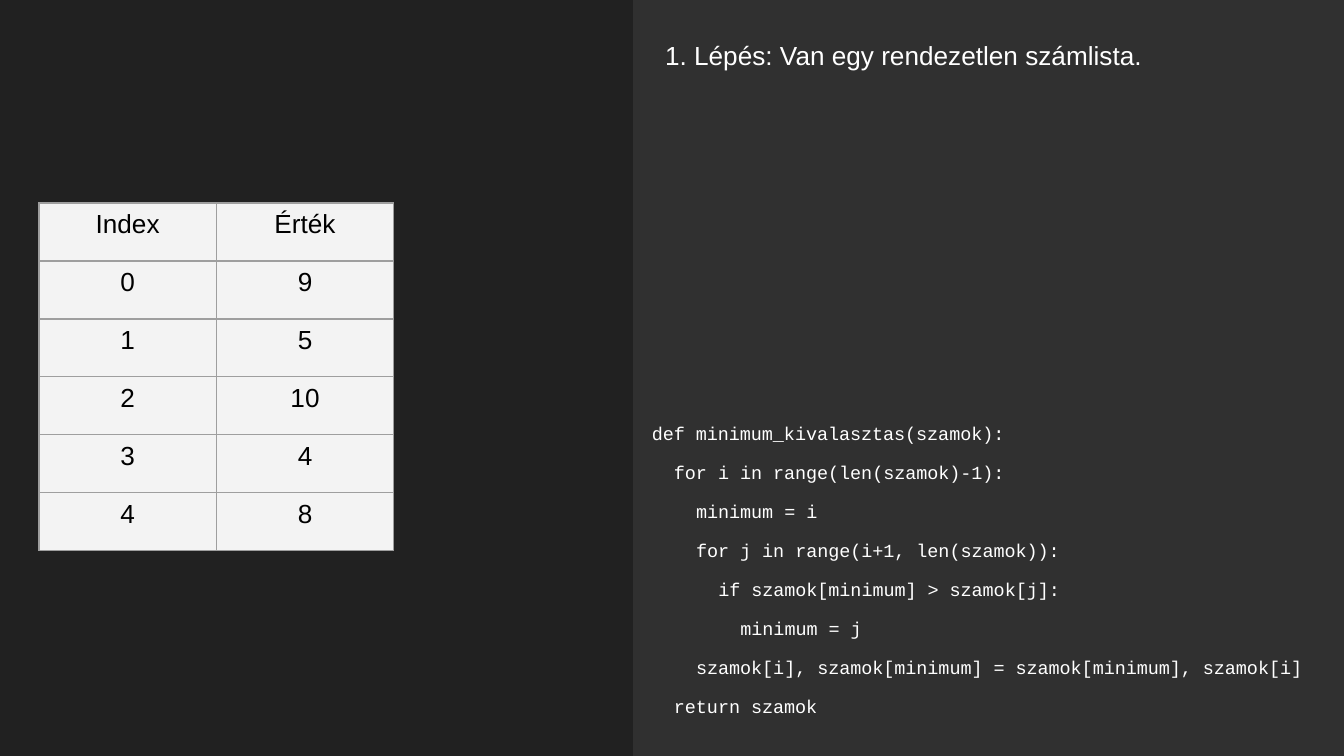
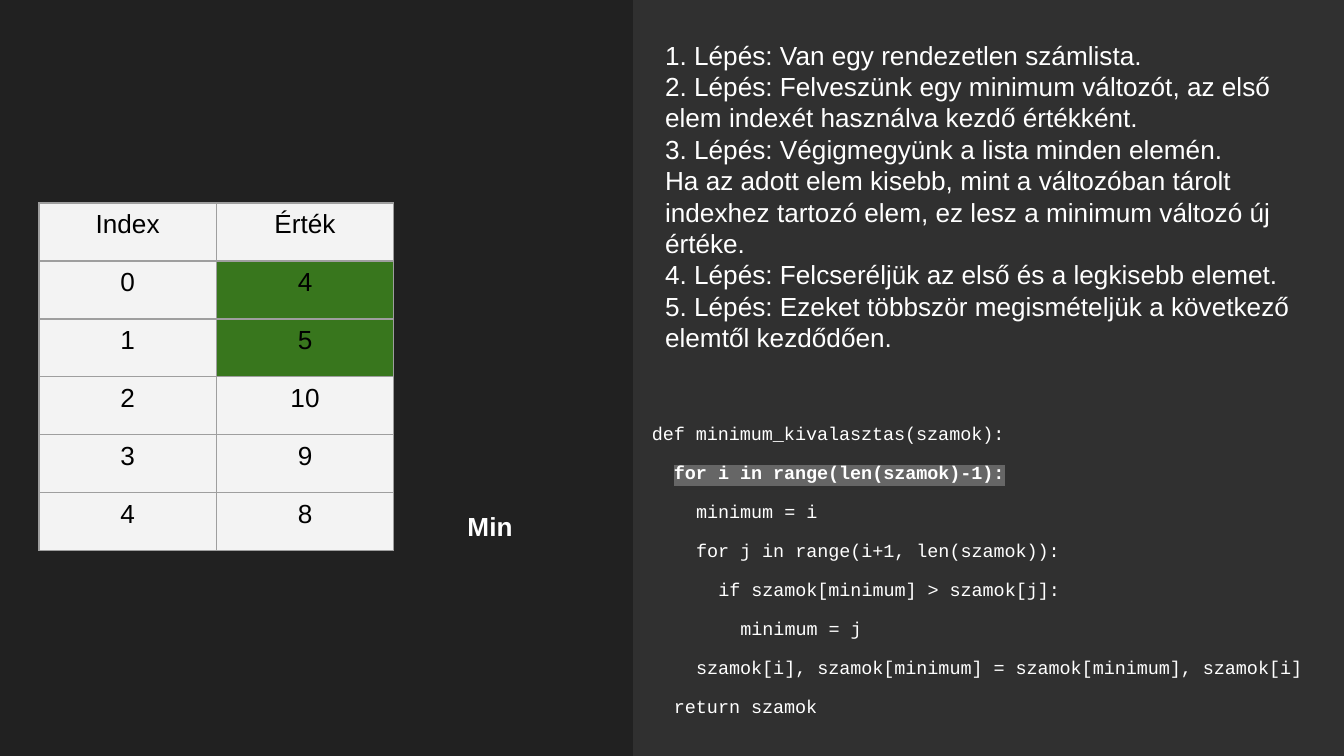
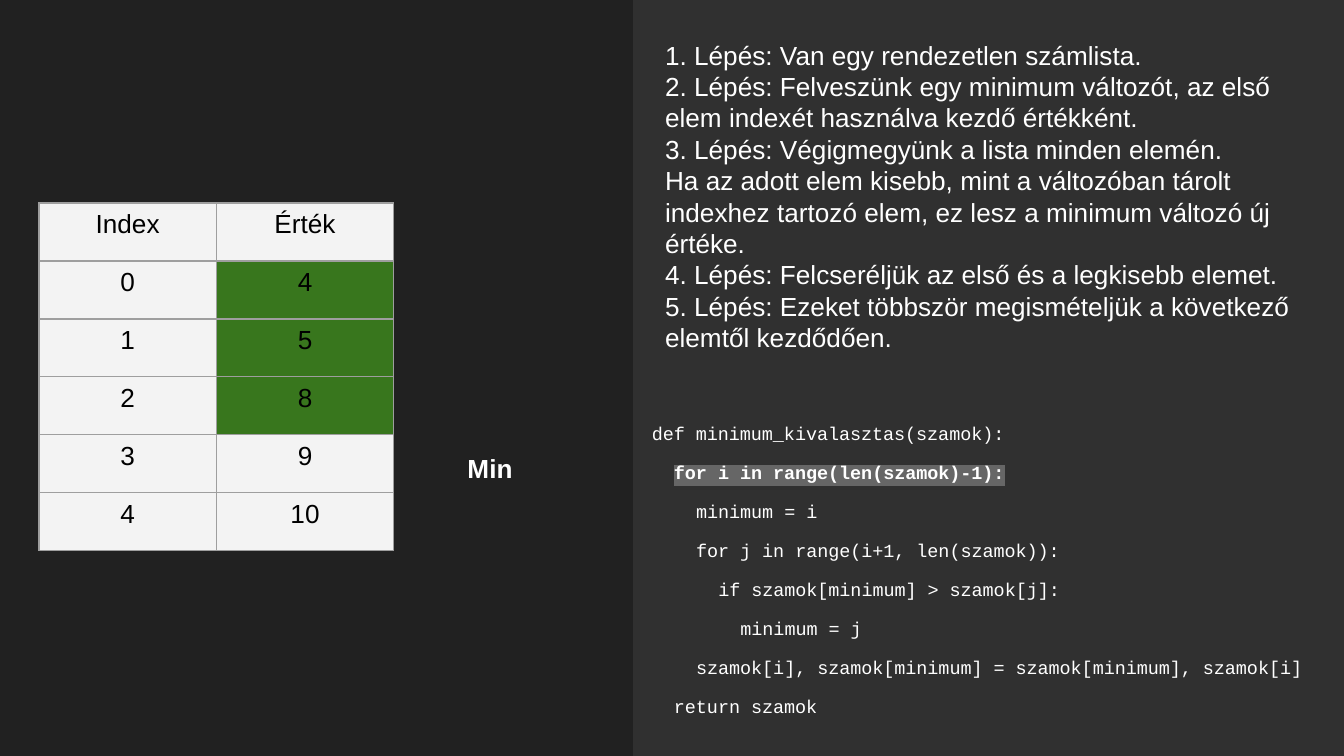
from lxml.etree import SubElement
from pptx import Presentation
from pptx.dml.color import RGBColor
from pptx.enum.shapes import MSO_SHAPE
from pptx.enum.text import MSO_ANCHOR, MSO_AUTO_SIZE, PP_ALIGN
from pptx.oxml.ns import qn
from pptx.util import Inches, Pt

COLORS = {
    "background": "212121",
    "panel": "303030",
    "text": "FFFFFF",
    "cell": "F3F3F3",
    "sorted": "38761D",
    "cell_text": "000000",
    "border": "9E9E9E",
    "highlight": "666666",
}
WIDTH = 10
HEIGHT = WIDTH * 9 / 16
PANEL_LEFT = 4.71
TABLE_LEFT, TABLE_TOP = 0.29, 1.51
COLUMN_WIDTH, ROW_HEIGHT = 1.32, 2.59 / 6
BORDER_WIDTH = 0.74
CODE_SIZE = 9.9
CODE_INDENT = 2 * 0.6 * CODE_SIZE

STEPS = [
    "1. Lépés: Van egy rendezetlen számlista.",
    "2. Lépés: Felveszünk egy minimum változót, az első elem indexét használva kezdő értékként.",
    "3. Lépés: Végigmegyünk a lista minden elemén.",
    "Ha az adott elem kisebb, mint a változóban tárolt indexhez tartozó elem, "
    "ez lesz a minimum változó új értéke.",
    "4. Lépés: Felcseréljük az első és a legkisebb elemet.",
    "5. Lépés: Ezeket többször megismételjük a következő elemtől kezdődően.",
]
CODE = [
    (0, "def minimum_kivalasztas(szamok):"),
    (1, "for i in range(len(szamok)-1):"),
    (2, "minimum = i"),
    (2, "for j in range(i+1, len(szamok)):"),
    (3, "if szamok[minimum] > szamok[j]:"),
    (4, "minimum = j"),
    (2, "szamok[i], szamok[minimum] = szamok[minimum], szamok[i]"),
    (1, "return szamok"),
]
PAGES = [
    {"steps": STEPS[:1], "steps_height": 1.62, "values": [9, 5, 10, 4, 8]},
    {"steps": STEPS, "steps_height": 2.88, "values": [4, 5, 10, 9, 8],
     "sorted_count": 2, "minimum": 4, "active_line": 1},
    {"steps": STEPS, "steps_height": 2.88, "values": [4, 5, 8, 9, 10],
     "sorted_count": 3, "minimum": 3, "active_line": 1},
]


def color(name):
    return RGBColor.from_string(COLORS[name])


def write(para, text, size=14, font="Arial", ink="text", bold=False,
          highlight=None, align=PP_ALIGN.LEFT):
    para.alignment = align
    span = para.add_run()
    span.text = text
    span.font.size = Pt(size)
    span.font.name = font
    span.font.bold = bold
    span.font.color.rgb = color(ink)
    if highlight:
        properties = span._r.get_or_add_rPr()
        mark = SubElement(properties, qn("a:highlight"))
        SubElement(mark, qn("a:srgbClr"), val=COLORS[highlight])
        properties.find(qn("a:solidFill")).addnext(mark)


def add_text_box(page, left, top, width, height, side_inset=0.1, anchor=MSO_ANCHOR.TOP):
    box = page.shapes.add_textbox(Inches(left), Inches(top), Inches(width), Inches(height))
    frame = box.text_frame
    frame.word_wrap = True
    frame.vertical_anchor = anchor
    frame.margin_left = frame.margin_right = Inches(side_inset)
    frame.margin_top = frame.margin_bottom = Inches(0.1)
    return frame


def paragraphs(frame, count):
    return [frame.paragraphs[0]] + [frame.add_paragraph() for _ in range(count - 1)]


def add_panel(page):
    panel = page.shapes.add_shape(
        MSO_SHAPE.RECTANGLE, Inches(PANEL_LEFT), Inches(0),
        Inches(WIDTH - PANEL_LEFT), Inches(HEIGHT))
    panel.shadow.inherit = False
    panel.fill.solid()
    panel.fill.fore_color.rgb = color("panel")
    panel.line.fill.background()


def add_steps(page, left, top, width, height, steps):
    frame = add_text_box(page, left, top, width, height)
    for para, step in zip(paragraphs(frame, len(steps)), steps):
        write(para, step)


def add_code(page, left, top, width, height, active_line=None):
    frame = add_text_box(page, left, top, width, height, side_inset=0, anchor=MSO_ANCHOR.MIDDLE)
    paras = paragraphs(frame, len(CODE))
    for number, (para, (level, line)) in enumerate(zip(paras, CODE)):
        active = number == active_line
        para.line_spacing = 0.75
        para.space_before = Pt(12 if number else 10)
        para._p.get_or_add_pPr().set("marL", str(Pt(level * CODE_INDENT)))
        write(para, line, size=CODE_SIZE, font="Courier New", bold=active,
              highlight="highlight" if active else None)
    paras[-1].space_after = Pt(12)


def add_borders(cell):
    properties = cell._tc.get_or_add_tcPr()
    for side in ("lnL", "lnR", "lnT", "lnB"):
        line = SubElement(properties, qn("a:" + side), w=str(Pt(BORDER_WIDTH)))
        fill = SubElement(line, qn("a:solidFill"))
        SubElement(fill, qn("a:srgbClr"), val=COLORS["border"])


def add_value_table(page, left, top, values, sorted_count):
    rows = [("Index", "Érték"), *enumerate(values)]
    table = page.shapes.add_table(
        len(rows), 2, Inches(left), Inches(top),
        Inches(2 * COLUMN_WIDTH), Inches(len(rows) * ROW_HEIGHT)).table
    for row_number, row in enumerate(rows):
        table.rows[row_number].height = Inches(ROW_HEIGHT)
        for column_number, value in enumerate(row):
            cell = table.cell(row_number, column_number)
            is_sorted = column_number == 1 and 1 <= row_number <= sorted_count
            add_borders(cell)
            cell.fill.solid()
            cell.fill.fore_color.rgb = color("sorted" if is_sorted else "cell")
            write(cell.text_frame.paragraphs[0], str(value), ink="cell_text",
                  align=PP_ALIGN.CENTER)


def add_minimum_label(page, table_left, table_top, index):
    top = table_top + (index + 1) * ROW_HEIGHT + 0.03
    frame = add_text_box(page, table_left + 3.09, top, 0.59, ROW_HEIGHT)
    frame.auto_size = MSO_AUTO_SIZE.SHAPE_TO_FIT_TEXT
    write(frame.paragraphs[0], "Min", bold=True)


def add_sorting_page(deck, steps, steps_height, values, sorted_count=0,
                     minimum=None, active_line=None):
    page = deck.slides.add_slide(deck.slide_layouts[6])
    page.background.fill.solid()
    page.background.fill.fore_color.rgb = color("background")
    add_panel(page)
    add_steps(page, PANEL_LEFT + 0.14, 0.19, 4.98, steps_height, steps)
    add_code(page, PANEL_LEFT + 0.14, 2.58, 5, 3.36, active_line)
    add_value_table(page, TABLE_LEFT, TABLE_TOP, values, sorted_count)
    if minimum is not None:
        add_minimum_label(page, TABLE_LEFT, TABLE_TOP, minimum)


deck = Presentation()
deck.slide_width, deck.slide_height = Inches(WIDTH), Inches(HEIGHT)
for content in PAGES:
    add_sorting_page(deck, **content)
deck.save("out.pptx")
